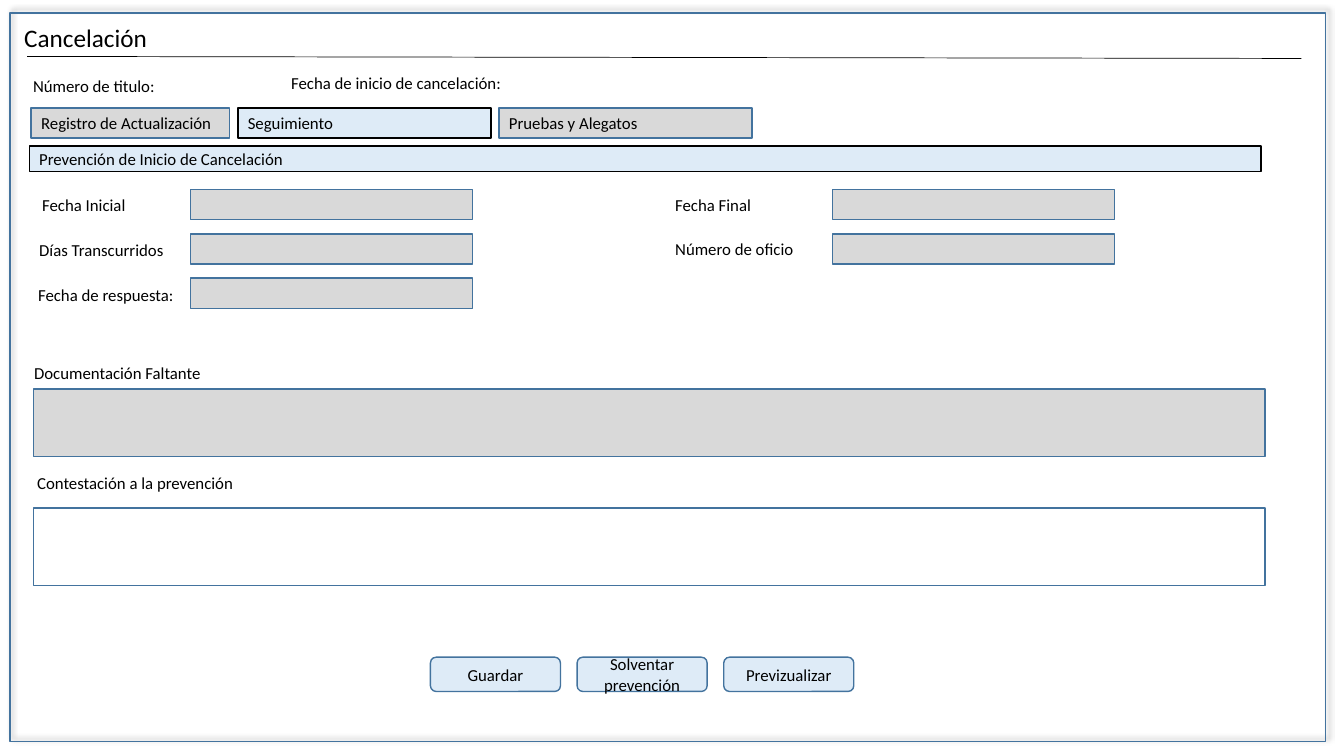
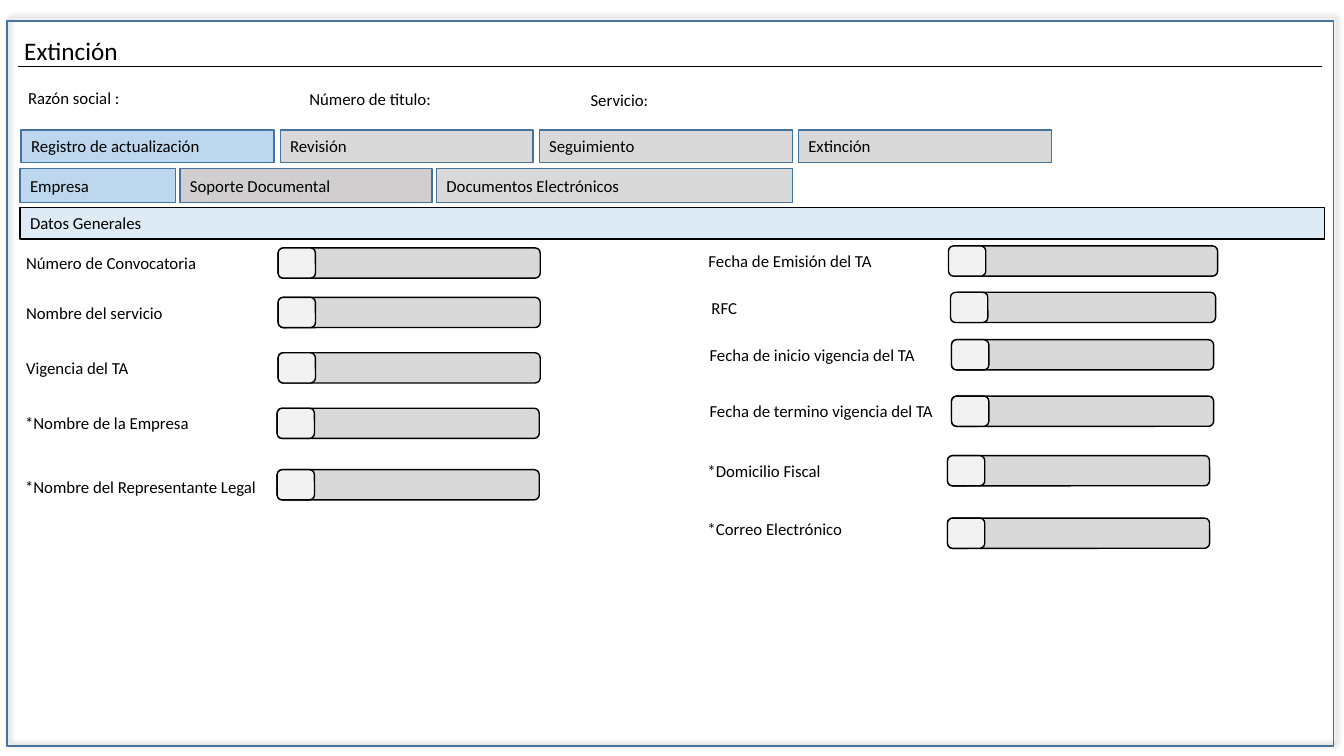
from lxml import etree
from pptx import Presentation
from pptx import util as u
from pptx.dml.color import RGBColor
from pptx.enum import shapes, text
from pptx.oxml import ns

BLACK = RGBColor(0x00, 0x00, 0x00)
WHITE = RGBColor(0xFF, 0xFF, 0xFF)
BLUE = RGBColor(0x43, 0x73, 0x9E)
PALE_BLUE = RGBColor(0xDE, 0xEB, 0xF7)
LIGHT_BLUE = RGBColor(0xBD, 0xD7, 0xEE)
GREY = RGBColor(0xD9, 0xD9, 0xD9)
WARM_GREY = RGBColor(0xD0, 0xCE, 0xCE)
NEAR_WHITE = RGBColor(0xF2, 0xF2, 0xF2)

RECTANGLE = shapes.MSO_SHAPE.RECTANGLE
ROUNDED = shapes.MSO_SHAPE.ROUNDED_RECTANGLE
LEFT, CENTER = text.PP_ALIGN.LEFT, text.PP_ALIGN.CENTER

FONT = "Calibri"
COLUMNS, ROWS = 133.33, 75  # square grid cells of a tenth of an inch


class FormDeck:
    """Form screens laid out in grid cells: left, top, width, height."""

    def __init__(self):
        self.presentation = Presentation()
        self.presentation.slide_width = self.cells(COLUMNS)
        self.presentation.slide_height = self.cells(ROWS)
        self.slide = None

    @staticmethod
    def cells(*counts):
        lengths = [u.Inches(count / 10) for count in counts]
        return lengths[0] if len(lengths) == 1 else lengths

    def set_text(self, shape, words, size=12, align=LEFT, anchor=text.MSO_ANCHOR.MIDDLE):
        frame = shape.text_frame
        frame.word_wrap = True
        frame.auto_size = text.MSO_AUTO_SIZE.NONE
        frame.vertical_anchor = anchor
        paragraph = frame.paragraphs[0]
        paragraph.alignment = align
        run = paragraph.add_run()
        run.text = words
        run.font.name = FONT
        run.font.size = u.Pt(size)
        run.font.color.rgb = BLACK

    def screen(self, title, frame, title_top, rule):
        """Start a slide with its title, shadowed frame and title rule."""
        self.slide = self.presentation.slides.add_slide(self.presentation.slide_layouts[5])
        heading = self.slide.shapes.title
        heading.left, heading.top, heading.width, heading.height = self.cells(
            1.4, title_top, 51.1, 4)
        self.set_text(heading, title, 18, anchor=text.MSO_ANCHOR.TOP)
        self.add_shadow(self.box(frame, fill=None))
        line = self.slide.shapes.add_connector(
            shapes.MSO_CONNECTOR.STRAIGHT, *self.cells(*rule))
        line.line.color.rgb = BLACK
        line.line.width = u.Pt(0.5)
        etree.SubElement(line._element.spPr, ns.qn("a:effectLst"))

    @staticmethod
    def add_shadow(shape):
        effects = shape._element.spPr.find(ns.qn("a:effectLst"))
        shadow = etree.SubElement(
            effects, ns.qn("a:outerShdw"), blurRad=str(u.Pt(4)), dist=str(u.Pt(3)),
            dir="18900000", algn="bl", rotWithShape="0")
        color = etree.SubElement(shadow, ns.qn("a:srgbClr"), val=str(BLACK))
        etree.SubElement(color, ns.qn("a:alpha"), val="40000")

    def box(self, place, words="", fill=GREY, line=BLUE, kind=RECTANGLE, align=LEFT):
        shape = self.slide.shapes.add_shape(kind, *self.cells(*place))
        shape.shadow.inherit = False
        if fill is None:
            shape.fill.background()
        else:
            shape.fill.solid()
            shape.fill.fore_color.rgb = fill
        shape.line.color.rgb = line
        shape.line.width = u.Pt(1)
        if words:
            self.set_text(shape, words, align=align)
        return shape

    def label(self, words, left, top, width=33.7):
        shape = self.slide.shapes.add_textbox(*self.cells(left, top, width, 3))
        self.set_text(shape, words, anchor=text.MSO_ANCHOR.TOP)

    def tabs(self, left, top, height, gap, tabs):
        for words, width, fill, line in tabs:
            self.box((left, top, width, height), words, fill, line)
            left += width + gap

    def banner(self, place, words):
        self.box(place, words, PALE_BLUE, BLACK)

    def buttons(self, left, top, names, width=12.9, gap=1.65):
        for index, name in enumerate(names):
            self.box((left + index * (width + gap), top, width, 3.4), name,
                     PALE_BLUE, kind=ROUNDED, align=CENTER)

    def option_field(self, words, label_left, label_top, left, top, bar_shift=0):
        """Label followed by a rounded bar with a small square at its left end."""
        self.box((left + bar_shift, top, 26, 3), line=BLACK, kind=ROUNDED)
        self.box((left, top, 3.7, 3), fill=NEAR_WHITE, line=BLACK, kind=ROUNDED)
        self.label(words, label_left, label_top, 35.9)


def cancellation(deck):
    deck.screen("Cancelación", (1, 1.3, 130.5, 72.3), 1.7, (2.7, 5.6, 129.1, 5.8))
    deck.label("Número de titulo:", 2.3, 7, 16.9)
    deck.label("Fecha de inicio de cancelación:", 27.9, 6.7, 29)
    deck.tabs(3.1, 10.7, 3, 0.8, [
        ("Registro de Actualización", 19.7, GREY, BLUE),
        ("Seguimiento", 25.1, PALE_BLUE, BLACK),
        ("Pruebas y Alegatos", 25.1, GREY, BLUE),
    ])
    deck.banner((2.9, 14.5, 122.2, 2.5), "Prevención de Inicio de Cancelación")

    first_row, row_pitch = 18.8, 4.4
    for words, label_left, label_top, left, row in [
        ("Fecha Inicial", 3.2, 18.8, 18.9, 0),
        ("Días Transcurridos", 2.9, 23.3, 18.9, 1),
        ("Fecha de respuesta:", 2.8, 27.8, 18.9, 2),
        ("Fecha Final", 66, 18.8, 82.6, 0),
        ("Número de oficio", 66, 23.2, 82.6, 1),
    ]:
        deck.label(words, label_left, label_top)
        deck.box((left, first_row + row * row_pitch, 28, 3))

    deck.label("Documentación Faltante", 2.4, 35.5, 40)
    deck.box((3.3, 38.6, 122.2, 6.7))
    deck.label("Contestación a la prevención", 2.7, 46.4, 40)
    deck.box((3.3, 50.4, 122.2, 7.7), fill=WHITE)
    deck.buttons(42.7, 65.2, ["Guardar", "Solventar prevención", "Previzualizar"])


def extinction(deck):
    deck.screen("Extinción", (0.7, 2.1, 131.6, 71.9), 3, (1.8, 6.6, 131.2, 6.6))
    deck.label("Razón social :", 1.8, 8.2, 21.2)
    deck.label("Número de titulo:", 29.7, 8.3, 16.9)
    deck.label("Servicio:", 57.6, 8.4, 21.2)
    deck.tabs(2.1, 12.9, 3.2, 0.6, [
        ("Registro de actualización", 25.1, LIGHT_BLUE, BLUE),
        ("Revisión", 25.1, GREY, BLUE),
        ("Seguimiento", 25.1, GREY, BLUE),
        ("Extinción", 25.1, GREY, BLUE),
    ])
    deck.tabs(2, 16.7, 3.4, 0.45, [
        ("Empresa", 15.4, LIGHT_BLUE, BLUE),
        ("Soporte Documental", 25, WARM_GREY, BLUE),
        ("Documentos Electrónicos", 35.3, GREY, BLUE),
    ])
    deck.banner((2, 20.6, 129.4, 3.1), "Datos Generales")

    for field in [
        ("Número de Convocatoria", 1.6, 24.6, 27.6, 24.6),
        ("Nombre del servicio", 1.6, 29.5, 27.6, 29.5),
        ("Vigencia del TA", 1.6, 35, 27.6, 35),
        ("*Nombre de la Empresa", 1.5, 40.5, 27.5, 40.5),
        ("*Nombre del Representante Legal", 1.5, 46.8, 27.5, 46.6),
        ("Fecha de Emisión del TA", 69.3, 24.4, 94.1, 24.4, 0.7),
        ("RFC", 69.6, 29, 94.3, 29, 0.3),
        ("Fecha de inicio vigencia del TA", 69.4, 33.7, 94.4, 33.7),
        ("Fecha de termino vigencia del TA", 69.4, 39.3, 94.4, 39.3),
        ("*Domicilio Fiscal", 69.2, 45.2, 94, 45.2),
        ("*Correo Electrónico", 69.2, 51, 94, 51.4),
    ]:
        deck.option_field(*field)


def main():
    deck = FormDeck()
    cancellation(deck)
    extinction(deck)
    deck.presentation.save("out.pptx")


if __name__ == "__main__":
    main()
